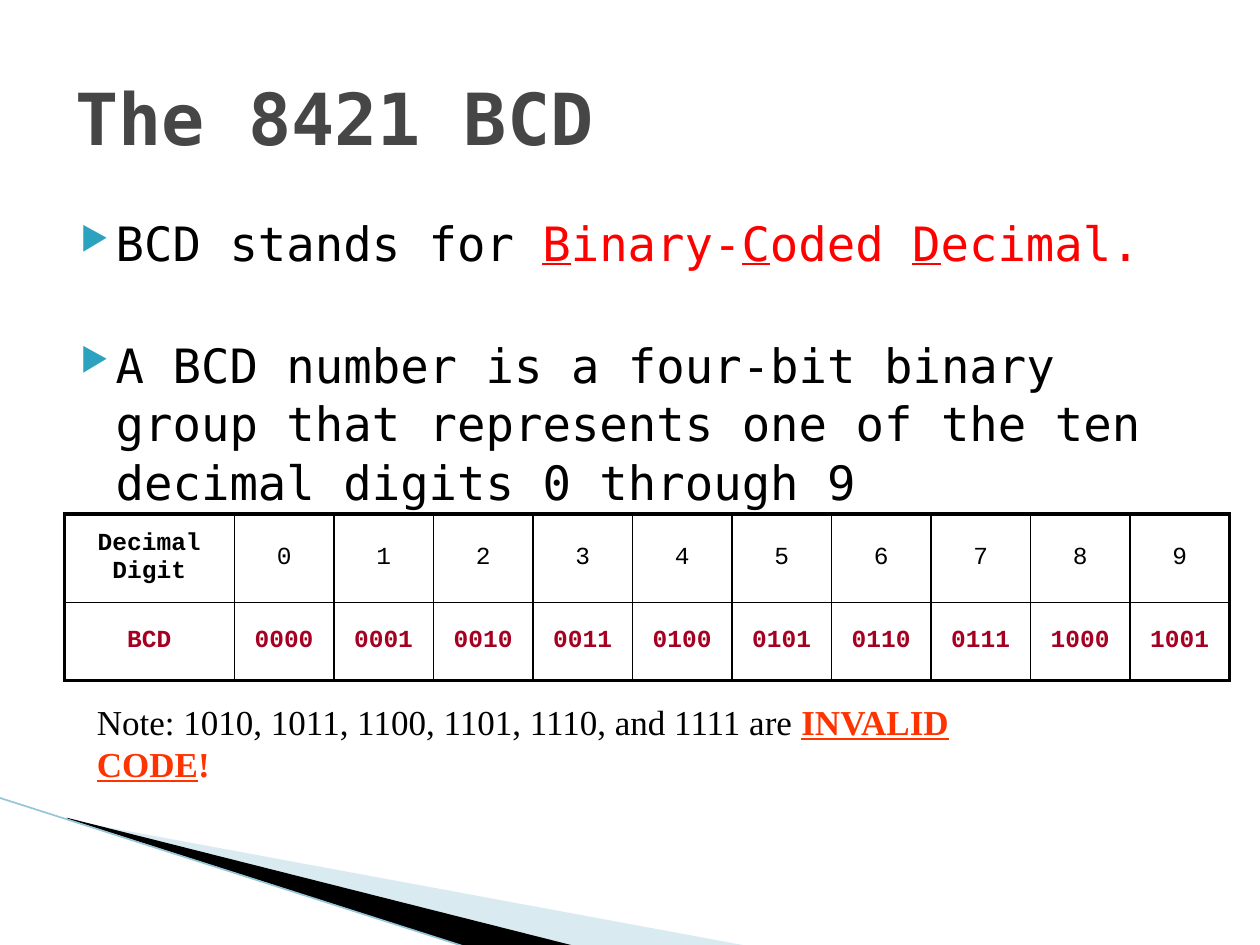
from lxml import etree
from pptx import Presentation
from pptx import util as u
from pptx.dml.color import RGBColor
from pptx.enum import shapes, text
from pptx.oxml import ns

BLACK = RGBColor(0, 0, 0)
RED = RGBColor(0xFF, 0, 0)
ORANGE = RGBColor(0xFF, 0x33, 0)
WINE = RGBColor(0xA5, 0, 0x21)
GRAY = RGBColor(0x46, 0x46, 0x46)
PALE = RGBColor(0xA0, 0xCB, 0xDC)
SKY = RGBColor(0x97, 0xC5, 0xD8)
TEAL = RGBColor(0x2D, 0xA2, 0xBF)
MONO = "DejaVu Sans Mono"


def add_sub(node, tag, **attrs):
    return etree.SubElement(node, ns.qn(tag), **attrs)


def add_color(node, color):
    return add_sub(node, "a:srgbClr", val=str(color))


def add_run(para, words, face, size, color=BLACK, bold=False, under=False):
    run = para.add_run()
    run.text = words
    font = run.font
    font.name, font.size = face, u.Pt(size)
    font.color.rgb = color
    font.bold, font.underline = bold, under


def add_box(slide, left, top, width, height, anchor=text.MSO_ANCHOR.TOP):
    box = slide.shapes.add_textbox(*map(u.Inches, (left, top, width, height)))
    frame = box.text_frame
    frame.word_wrap = True
    frame.vertical_anchor = anchor
    return frame


def add_wedge(slide, points, color, alpha=None):
    spots = [(u.Inches(x), u.Inches(y)) for x, y in points]
    form = slide.shapes.build_freeform(*spots[0])
    form.add_line_segments(spots[1:], close=True)
    wedge = form.convert_to_shape()
    wedge.shadow.inherit = False
    wedge.fill.solid()
    wedge.fill.fore_color.rgb = color
    wedge.line.fill.background()
    if alpha:
        tint = wedge.fill._xPr.find(".//" + ns.qn("a:srgbClr"))
        add_sub(tint, "a:alpha", val=str(alpha * 1000))


def add_line(slide, start, end, color, width):
    ends = map(u.Inches, (*start, *end))
    line = slide.shapes.add_connector(shapes.MSO_CONNECTOR.STRAIGHT, *ends)
    line.line.color.rgb = color
    line.line.width = u.Pt(width)
    add_sub(line._element.spPr, "a:effectLst")


def set_bullet(para):
    props = para._p.get_or_add_pPr()
    props.set("marL", str(u.Inches(0.4)))
    props.set("indent", str(u.Inches(-0.28)))
    add_color(add_sub(props, "a:buClr"), TEAL)
    add_sub(props, "a:buSzPct", val="68000")
    add_sub(props, "a:buChar", char="▶")


def set_edges(cell, widths):
    props = cell._tc.get_or_add_tcPr()
    for side, width in zip("LRTB", widths):
        edge = add_sub(props, "a:ln" + side, w=str(u.Pt(width)))
        add_color(add_sub(edge, "a:solidFill"), BLACK)


def add_body(slide):
    frame = add_box(slide, 0.42, 1.64, 9.17, 2.58)
    first, second = frame.paragraphs[0], frame.add_paragraph()
    for para, gap in ((first, 4), (second, 36)):
        para.space_before = u.Pt(gap)
        para.line_spacing = 1.03
        set_bullet(para)
    add_run(first, "BCD stands for ", MONO, 27)
    for head, tail in (("B", "inary-"), ("C", "oded "), ("D", "ecimal.")):
        add_run(first, head, MONO, 27, RED, under=True)
        add_run(first, tail, MONO, 27, RED)
    add_run(second, "A BCD number is a four-bit binary group that represents "
            "one of the ten decimal digits 0 through 9", MONO, 27)


def add_codes(slide):
    rows = (["Decimal Digit"] + [str(n) for n in range(10)],
            ["BCD"] + [f"{n:04b}" for n in range(10)])
    last = len(rows[0]) - 1
    area = map(u.Inches, (0.51, 4.08, 9.23, 1.32))
    table = slide.shapes.add_table(2, last + 1, *area).table
    table.first_row = table.horz_banding = False
    for col, column in enumerate(table.columns):
        column.width = u.Inches(0.79 if col else 1.35)
    for row, (words, height) in enumerate(zip(rows, (0.7, 0.62))):
        table.rows[row].height = u.Inches(height)
        for col, word in enumerate(words):
            cell = table.cell(row, col)
            outer = (col == 0, col == last, row == 0, row == 1)
            set_edges(cell, [2.25 if edge else 1 for edge in outer])
            cell.fill.background()
            cell.vertical_anchor = text.MSO_ANCHOR.MIDDLE
            para = cell.text_frame.paragraphs[0]
            para.alignment = text.PP_ALIGN.CENTER
            add_run(para, word, "Courier New", 14, WINE if row else BLACK,
                    bold=row == 1 or col == 0)


def add_note(slide):
    para = add_box(slide, 0.67, 5.51, 7.76, 0.43).paragraphs[0]
    face = "Times New Roman"
    add_run(para, "Note: 1010, 1011, 1100, 1101, 1110, and 1111 are ", face, 20)
    add_run(para, "INVALID CODE", face, 20, ORANGE, True, True)
    add_run(para, "!", face, 20, ORANGE, True)


def main():
    deck = Presentation()
    deck.slide_width, deck.slide_height = u.Inches(10), u.Inches(7.5)
    slide = deck.slides.add_slide(deck.slide_layouts[6])
    add_wedge(slide, [(0.55, 6.51), (5.95, 7.51), (4.56, 7.51), (0.55, 6.5)],
              PALE, 40)
    add_wedge(slide, [(0.53, 6.49), (4.57, 7.51), (3.72, 7.52), (0.54, 6.5)],
              BLACK)
    add_line(slide, (-0.01, 6.33), (3.71, 7.52), SKY, 0.95)
    add_body(slide)
    title = add_box(slide, 0.5, 0.3, 9, 1.25, text.MSO_ANCHOR.MIDDLE)
    add_run(title.paragraphs[0], "The 8421 BCD", MONO, 41, GRAY, True)
    add_codes(slide)
    add_note(slide)
    deck.save("out.pptx")


if __name__ == "__main__":
    main()
